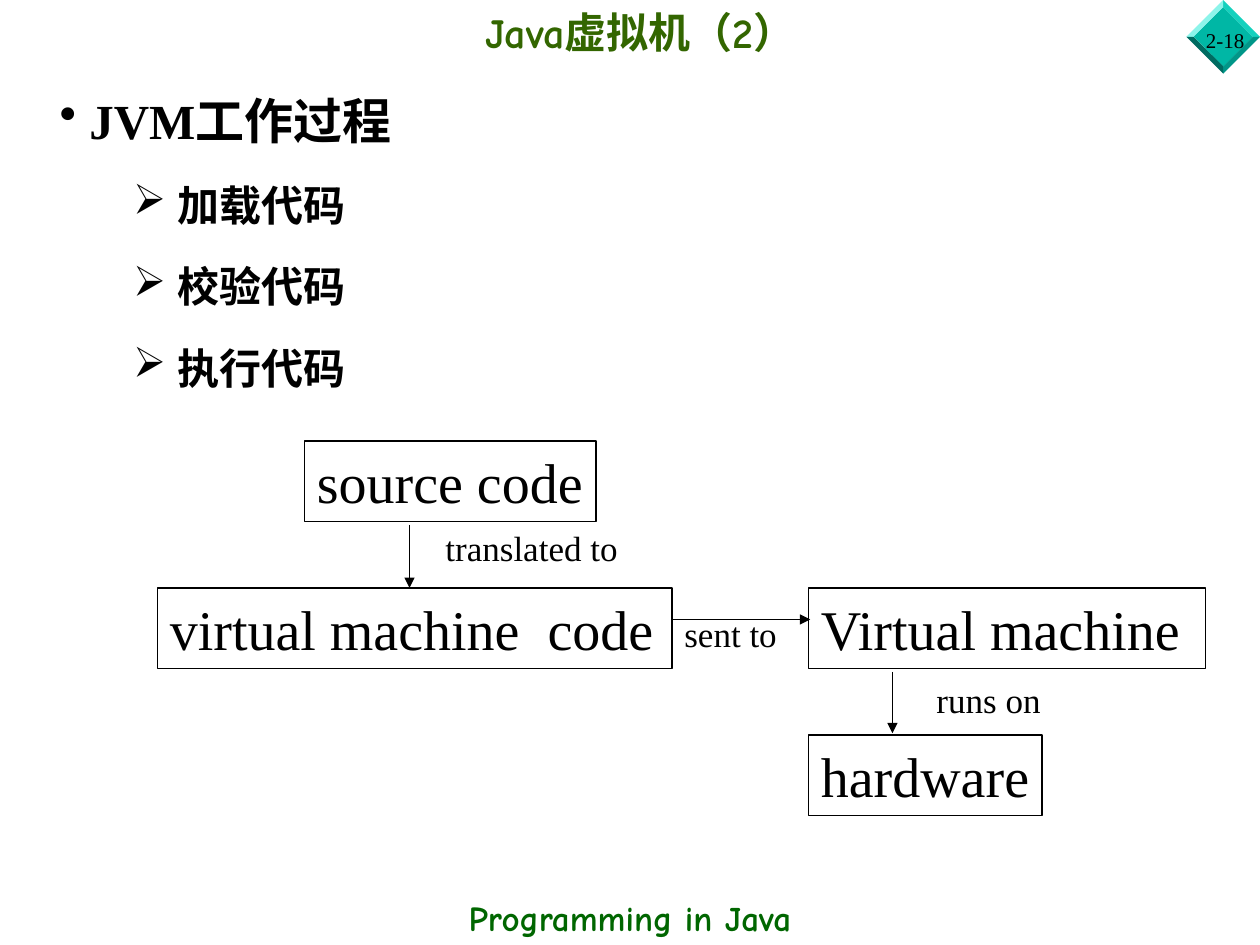
"""Build the slide on how the Java virtual machine works."""
from lxml.etree import SubElement
from pptx import Presentation
from pptx.dml.color import RGBColor
from pptx.enum.shapes import MSO_CONNECTOR, MSO_SHAPE
from pptx.enum.text import MSO_ANCHOR, MSO_AUTO_SIZE, PP_ALIGN
from pptx.oxml.ns import qn
from pptx.util import Pt

COLORS = {
    "black": "000000", "title": "336600", "footer": "006600", "face": "00B7A5",
    "top_right": "14D1BE", "top_left": "8CF4EA",
    "bottom_right": "009688", "bottom_left": "006B61",
}
SERIF, COMIC = "Times New Roman", "Comic Neue"


def rgb(name):
    return RGBColor.from_string(COLORS[name])


def write(s, lines, size, font=SERIF, color="black", bold=False, wrap=True,
          anchor=MSO_ANCHOR.TOP, bullet=None, indent=0, **para):
    tf = s.text_frame
    frame = {"auto_size": MSO_AUTO_SIZE.NONE, "word_wrap": wrap, "vertical_anchor": anchor}
    for key, value in frame.items():
        setattr(tf, key, value)
    for i, line in enumerate(lines):
        p = tf.paragraphs[0] if i == 0 else tf.add_paragraph()
        if bullet:
            pPr = p._p.get_or_add_pPr()
            pPr.set("marL", str(Pt(indent)))
            pPr.set("indent", str(-Pt(indent)))
            clr = SubElement(pPr, qn("a:buClr"))
            SubElement(clr, qn("a:srgbClr")).set("val", COLORS["black"])
            SubElement(pPr, qn("a:buChar")).set("char", bullet)
        for key, value in {"alignment": PP_ALIGN.LEFT, **para}.items():
            if i > 0 or key != "space_before":
                setattr(p, key, value)
        r = p.add_run()
        r.text = line
        for key, value in {"name": font, "size": Pt(size), "bold": bold}.items():
            setattr(r.font, key, value)
        r.font.color.rgb = rgb(color)


prs = Presentation()
prs.slide_width, prs.slide_height = Pt(720), Pt(540)
slide = prs.slides.add_slide(prs.slide_layouts[5])
shapes = slide.shapes

cx, cy, outer, inner = 699, 21, 21, 17
facets = [("face", [(cx, cy - inner), (cx - inner, cy), (cx, cy + inner), (cx + inner, cy)])]
for name, dx, dy in [("top_right", 1, -1), ("top_left", -1, -1),
                     ("bottom_right", 1, 1), ("bottom_left", -1, 1)]:
    facets.append((name, [(cx, cy + dy * inner), (cx, cy + dy * outer),
                          (cx + dx * outer, cy), (cx + dx * inner, cy)]))
for name, points in facets:
    builder = shapes.build_freeform(*points[0], scale=Pt(1))
    builder.add_line_segments(points[1:], close=True)
    s = builder.convert_to_shape()
    s.shadow.inherit = False
    s.fill.solid()
    s.fill.fore_color.rgb = rgb(name)
    s.line.fill.background()

title = shapes.title
for key, value in {"left": 60, "top": 0, "width": 612, "height": 36}.items():
    setattr(title, key, Pt(value))
write(title, ["Java虚拟机（2）"], 24, COMIC, "title", True,
      anchor=MSO_ANCHOR.MIDDLE, alignment=PP_ALIGN.CENTER)

texts = [
    ((682, 12, 38, 22), ["2-18"], {"size": 12}),
    ((0, 509, 720, 31.5), ["Programming in Java"],
     {"size": 20, "font": COMIC, "color": "footer", "bold": True,
      "alignment": PP_ALIGN.CENTER}),
    ((27, 48, 666, 41), ["JVM工作过程"],
     {"size": 28, "bold": True, "bullet": "•", "indent": 17}),
    ((69, 96, 582, 132.5), ["加载代码", "校验代码", "执行代码"],
     {"size": 24, "bold": True, "bullet": "➢", "indent": 25.5,
      "line_spacing": 1.1, "space_before": Pt(15)}),
    ((528, 384, 73.5, 31.5), ["runs on"], {"size": 20, "wrap": False}),
    ((384, 346.5, 67, 31.5), ["sent to"], {"size": 20, "wrap": False}),
    ((247.5, 297.5, 113, 31.5), ["translated to"], {"size": 20, "wrap": False}),
]
for box, lines, style in texts:
    write(shapes.add_textbox(*map(Pt, box)), lines, **style)

stages = [
    ("source code", 174, 252, 166.5, False),
    ("virtual machine  code", 90, 336, 294, True),
    ("Virtual machine", 462, 336, 227, True),
    ("hardware", 462, 420, 133.5, False),
]
for label, left, top, width, wrap in stages:
    s = shapes.add_shape(MSO_SHAPE.RECTANGLE, Pt(left), Pt(top), Pt(width), Pt(46))
    s.shadow.inherit = False
    s.fill.background()
    s.line.color.rgb = rgb("black")
    s.line.width = Pt(1)
    write(s, [label], 32, wrap=wrap)

for ends in [(234, 300, 234, 336), (384, 354, 463, 354), (510, 384, 510, 419)]:
    arrow = shapes.add_connector(MSO_CONNECTOR.STRAIGHT, *map(Pt, ends))
    arrow.line.color.rgb = rgb("black")
    arrow.line.width = Pt(1)
    SubElement(arrow.line._get_or_add_ln(), qn("a:tailEnd")).set("type", "triangle")
    SubElement(arrow._element.spPr, qn("a:effectLst"))

prs.save("out.pptx")
